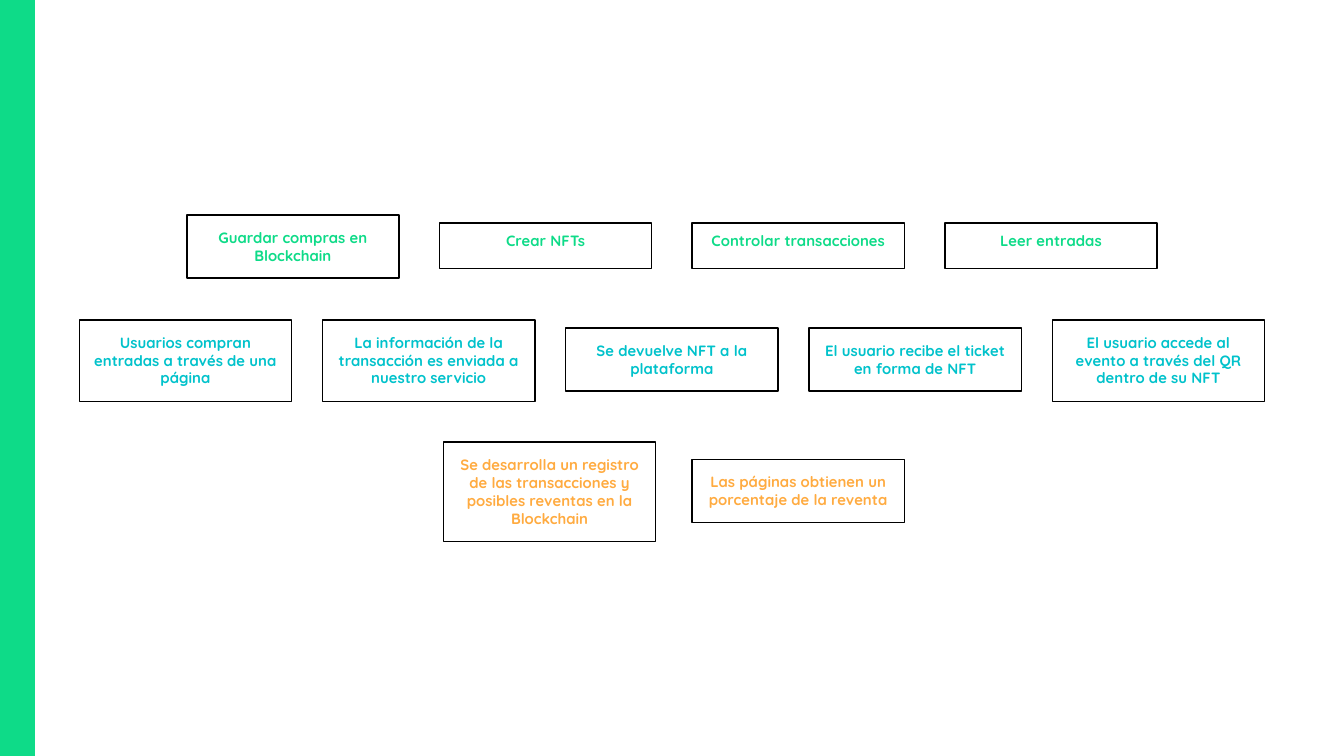
from pptx import Presentation
from pptx import util as u
from pptx.dml.color import RGBColor
from pptx.enum import shapes, text

PX = u.Inches(1) // 100  # 100 px to the inch

GREEN = RGBColor(0x0E, 0xDB, 0x88)
TEAL = RGBColor(0x00, 0xC2, 0xCB)
ORANGE = RGBColor(0xFF, 0xAB, 0x40)
BLACK = RGBColor(0, 0, 0)

BOX_WIDTH = 158
HEIGHT_BY_LINES = {1: 34, 2: 47, 3: 61, 4: 74}


class Board:
    font = "Quicksand"
    size = u.Pt(8)
    inset = 10 * PX

    def __init__(self, slide):
        self.slide = slide

    def rect(self, left, top, width, height):
        shape = self.slide.shapes.add_shape(
            shapes.MSO_SHAPE.RECTANGLE,
            left * PX, top * PX, width * PX, height * PX)
        shape.shadow.inherit = False
        return shape

    def bar(self, left, top, width, height, color):
        bar = self.rect(left, top, width, height)
        bar.fill.solid()
        bar.fill.fore_color.rgb = color
        bar.line.fill.background()

    def step(self, left, top, height, label, color):
        box = self.rect(left, top, BOX_WIDTH, height)
        box.fill.background()
        box.line.color.rgb = BLACK
        box.line.width = u.Pt(0.75)
        frame = box.text_frame
        frame.text = label
        frame.word_wrap = True
        frame.auto_size = text.MSO_AUTO_SIZE.SHAPE_TO_FIT_TEXT
        frame.vertical_anchor = text.MSO_ANCHOR.TOP
        frame.margin_left = frame.margin_right = self.inset
        frame.margin_top = frame.margin_bottom = self.inset
        paragraph = frame.paragraphs[0]
        paragraph.alignment = text.PP_ALIGN.CENTER
        font = paragraph.runs[0].font
        font.name, font.size, font.bold = self.font, self.size, True
        font.color.rgb = color

    def row(self, left, pitch, middle, color, steps):
        """Boxes at an even pitch, centred on one horizontal line."""
        for i, (label, lines) in enumerate(steps):
            height = HEIGHT_BY_LINES[lines]
            top = round(middle - height / 2)
            self.step(left + i * pitch, top, height, label, color)


def main():
    deck = Presentation()
    deck.slide_width = u.Inches(10)
    deck.slide_height = deck.slide_width * 9 // 16
    board = Board(deck.slides.add_slide(deck.slide_layouts[6]))

    # Side bar
    board.bar(0, 0, 26, 571, GREEN)

    # Service functions
    board.row(139, 188, 183.5, GREEN, [
        ("Guardar compras en Blockchain", 2),
        ("Crear NFTs", 1),
        ("Controlar transacciones", 1),
        ("Leer entradas", 1),
    ])

    # Ticket journey
    board.row(59, 181, 268, TEAL, [
        ("Usuarios compran entradas a través de una página", 3),
        ("La información de la transacción es enviada a nuestro servicio", 3),
        ("Se devuelve NFT a la plataforma", 2),
        ("El usuario recibe el ticket en forma de NFT", 2),
        ("El usuario accede al evento a través del QR dentro de su NFT", 3),
    ])

    # Resale
    board.row(330, 185, 366, ORANGE, [
        ("Se desarrolla un registro de las transacciones y posibles "
         "reventas en la Blockchain", 4),
        ("Las páginas obtienen un porcentaje de la reventa", 2),
    ])

    deck.save("out.pptx")


if __name__ == "__main__":
    main()
